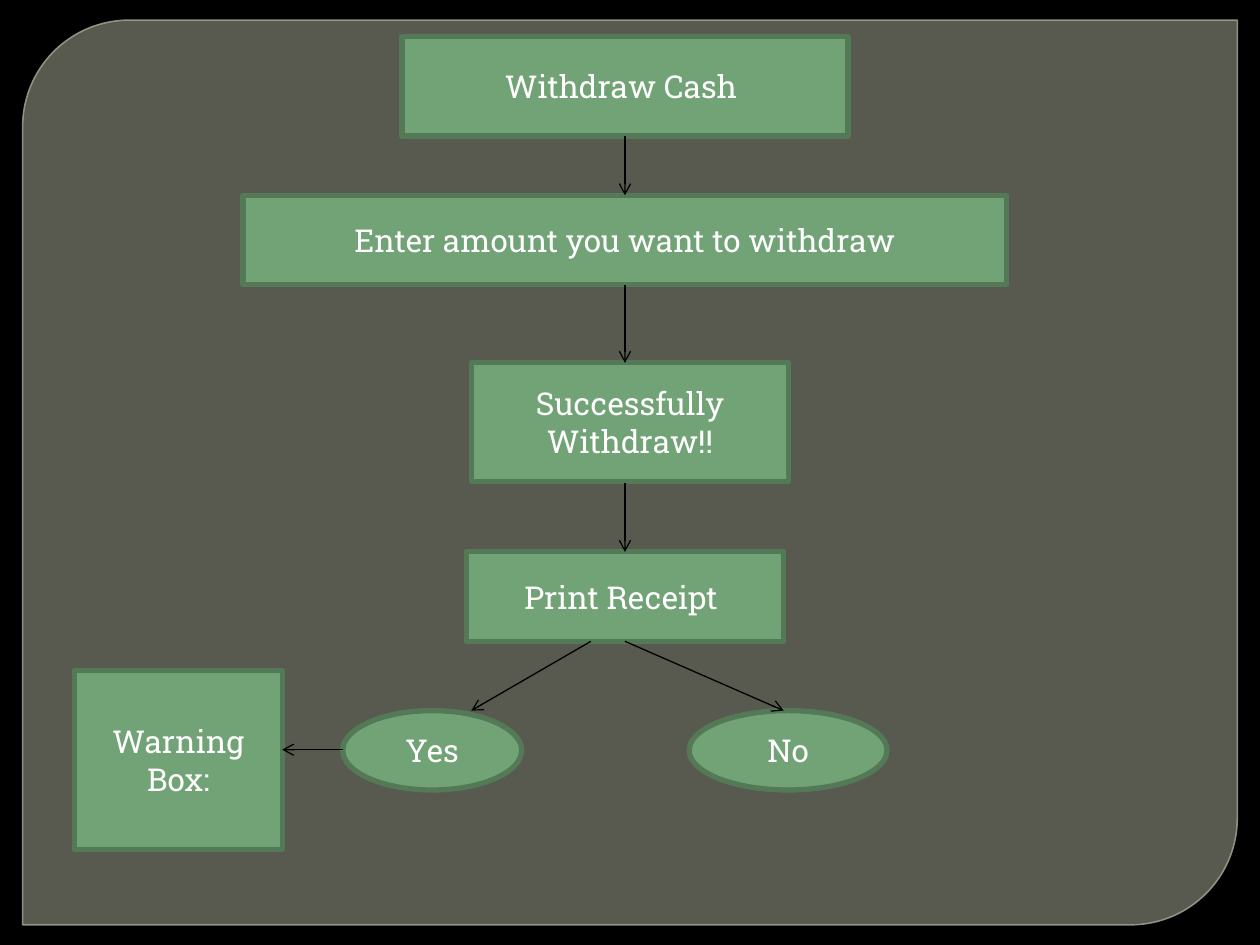
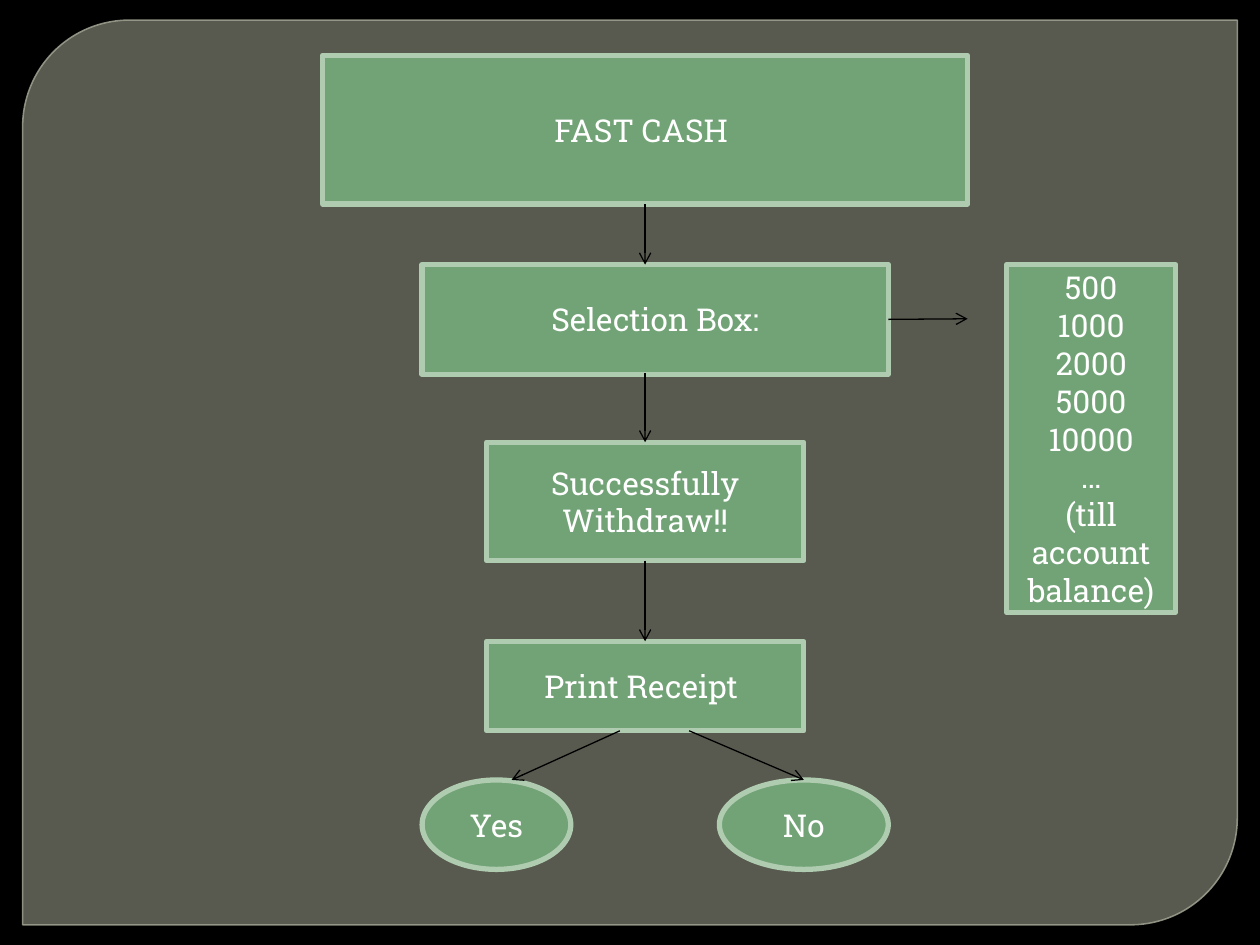
from typing import NamedTuple

from lxml import etree
from pptx import Presentation
from pptx.dml import color as c
from pptx.enum import shapes as s, text as t
from pptx.oxml import ns
from pptx.util import Inches, Pt

HUES = {"back": "000000", "panel": "888B7B", "rim": "9DA090", "box": "72A376",
        "dark": "547957", "light": "B0CCB0", "text": "FFFFFF", "arrow": "000000"}
FONT = "Roboto Slab"
RECT, OVAL = s.MSO_SHAPE.RECTANGLE, s.MSO_SHAPE.OVAL
TOP, BOTTOM, RIGHT = 0, 2, 3


class Box(NamedTuple):
    name: str
    label: str
    left: float
    top: float
    width: float
    height: float
    kind: s.MSO_SHAPE = RECT


class Point(NamedTuple):
    x: float
    y: float


class Joint(NamedTuple):
    """The middle of one side of a named box."""
    name: str
    side: int


class Arrow(NamedTuple):
    start: Point | Joint
    end: Point | Joint


class Chart(NamedTuple):
    edge: str
    boxes: list[Box]
    arrows: list[Arrow]


WITHDRAW = Chart("dark", [
    Box("cash", "Withdraw Cash ", 3.19, 0.29, 3.54, 0.79),
    Box("amount", "Enter amount you want to withdraw", 1.93, 1.55, 6.06, 0.71),
    Box("done", "Successfully Withdraw!!", 3.74, 2.88, 2.52, 0.94),
    Box("print", "Print Receipt ", 3.7, 4.38, 2.52, 0.71),
    Box("yes", "Yes", 2.72, 5.64, 1.42, 0.63, OVAL),
    Box("no", "No", 5.47, 5.64, 1.57, 0.63, OVAL),
    Box("warning", "Warning Box:", 0.59, 5.32, 1.65, 1.42),
], [
    Arrow(Joint("cash", BOTTOM), Joint("amount", TOP)),
    Arrow(Joint("amount", BOTTOM), Point(4.96, 2.88)),
    Arrow(Point(4.96, 3.83), Joint("print", TOP)),
    Arrow(Point(4.69, 5.09), Point(3.74, 5.64)),
    Arrow(Joint("print", BOTTOM), Point(6.22, 5.64)),
    Arrow(Point(2.72, 5.95), Point(2.24, 5.95)),
])

FAST = Chart("light", [
    Box("cash", "FAST CASH ", 2.56, 0.44, 5.12, 1.18),
    Box("select", "Selection Box:", 3.35, 2.1, 3.7, 0.87),
    Box("sums", "500\n1000\n2000\n5000\n10000\n…\n(till account balance)",
        7.99, 2.1, 1.34, 2.76),
    Box("done", "Successfully Withdraw!!", 3.86, 3.51, 2.52, 0.94),
    Box("print", "Print Receipt ", 3.86, 5.09, 2.52, 0.71),
    Box("yes", "Yes", 3.35, 6.19, 1.18, 0.71, OVAL),
    Box("no", "No", 5.71, 6.19, 1.34, 0.71, OVAL),
], [
    Arrow(Joint("cash", BOTTOM), Point(5.12, 2.1)),
    Arrow(Joint("select", RIGHT), Point(7.68, 2.53)),
    Arrow(Point(5.12, 2.96), Joint("done", TOP)),
    Arrow(Joint("done", BOTTOM), Joint("print", TOP)),
    Arrow(Point(4.92, 5.8), Point(4.06, 6.19)),
    Arrow(Point(5.47, 5.8), Point(6.38, 6.19)),
])


def rgb(name: str) -> c.RGBColor:
    return c.RGBColor.from_string(HUES[name])


def paint(shape, fill: str, edge: str, width: float) -> None:
    shape.shadow.inherit = False
    shape.fill.solid()
    shape.fill.fore_color.rgb = rgb(fill)
    shape.line.color.rgb = rgb(edge)
    shape.line.width = Pt(width)


def add_panel(slide, layout) -> None:
    """Draw the rounded panel and move it to the layout, behind every slide."""
    panel = slide.shapes.add_shape(s.MSO_SHAPE.ROUND_2_DIAG_RECTANGLE, Inches(0.18),
                                   Inches(0.16), Inches(9.64), Inches(7.18))
    panel.adjustments[0] = 0.118
    panel.adjustments[1] = 0
    paint(panel, "panel", "rim", 0.87)
    props = panel.element.spPr
    for part, share in ((props, 65), (props.find(ns.qn("a:ln")), 88)):
        hue = part.find(ns.qn("a:solidFill"))[0]
        etree.SubElement(hue, ns.qn("a:alpha"), val=str(share * 1000))
    panel.element.nvSpPr.cNvPr.set("id", "20")
    layout.shapes.element.append(panel.element)


def add_box(slide, box: Box, edge: str):
    shape = slide.shapes.add_shape(box.kind, Inches(box.left), Inches(box.top),
                                   Inches(box.width), Inches(box.height))
    paint(shape, "box", edge, 3)
    frame = shape.text_frame
    frame.text = box.label
    frame.word_wrap = True
    frame.vertical_anchor = t.MSO_ANCHOR.MIDDLE
    for para in frame.paragraphs:
        para.alignment = t.PP_ALIGN.CENTER
        for run in para.runs:
            run.font.name = FONT
            run.font.size = Pt(18)
            run.font.color.rgb = rgb("text")
    return shape


def add_arrow(slide, arrow: Arrow, drawn: dict) -> None:
    spots = [Point(0, 0) if isinstance(end, Joint) else end for end in arrow]
    line = slide.shapes.add_connector(
        s.MSO_CONNECTOR.STRAIGHT, *(Inches(v) for spot in spots for v in spot))
    for end, join in zip(arrow, (line.begin_connect, line.end_connect)):
        if isinstance(end, Joint):
            join(drawn[end.name], end.side)
    line.line.color.rgb = rgb("arrow")
    line.line.width = Pt(0.75)
    props = line.element.spPr
    etree.SubElement(props.find(ns.qn("a:ln")), ns.qn("a:tailEnd"), type="arrow")
    etree.SubElement(props, ns.qn("a:effectLst"))


def add_chart(slide, chart: Chart) -> None:
    drawn = {box.name: add_box(slide, box, chart.edge) for box in chart.boxes}
    for arrow in chart.arrows:
        add_arrow(slide, arrow, drawn)


def main() -> None:
    prs = Presentation()
    prs.slide_width, prs.slide_height = Inches(10), Inches(7.5)
    back = prs.slide_master.background.fill
    back.solid()
    back.fore_color.rgb = rgb("back")
    blank = prs.slide_layouts[6]
    slides = [prs.slides.add_slide(blank) for _ in range(2)]
    add_panel(slides[0], blank)
    for slide, chart in zip(slides, (WITHDRAW, FAST)):
        add_chart(slide, chart)
    prs.save("out.pptx")


if __name__ == "__main__":
    main()
